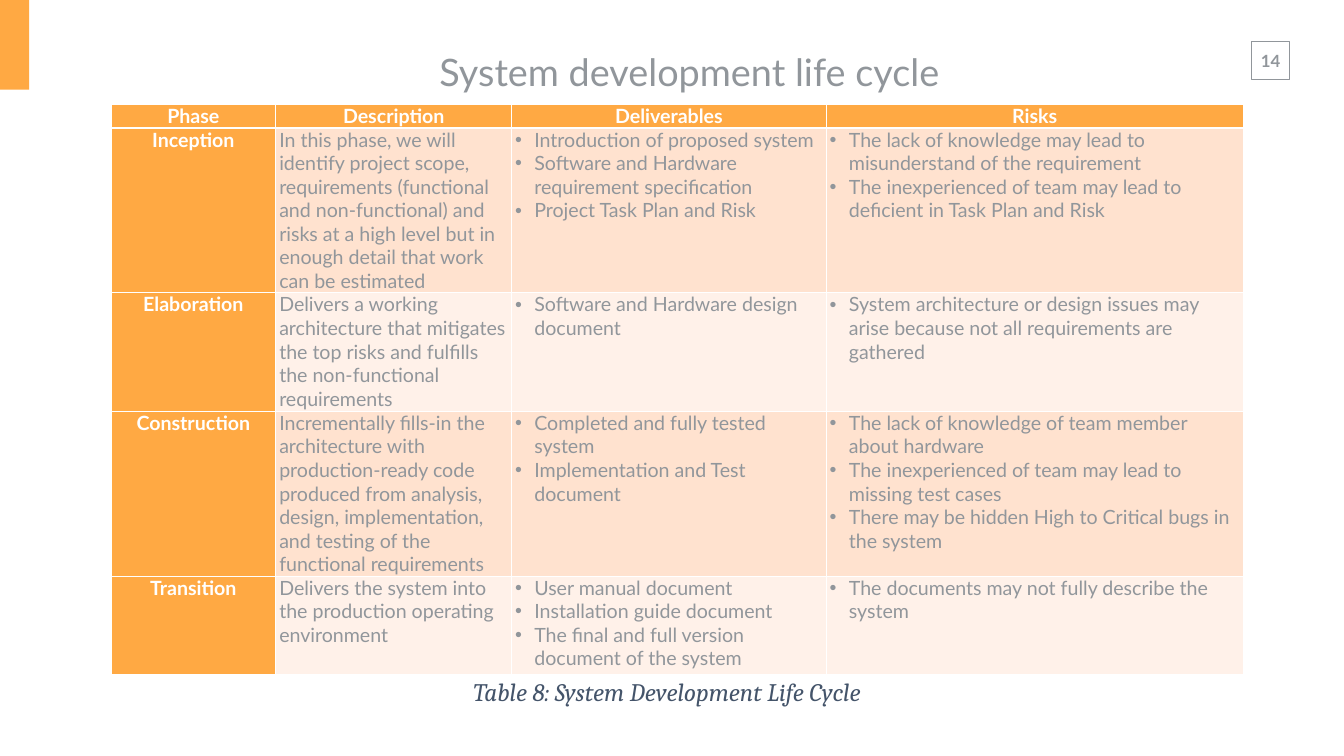
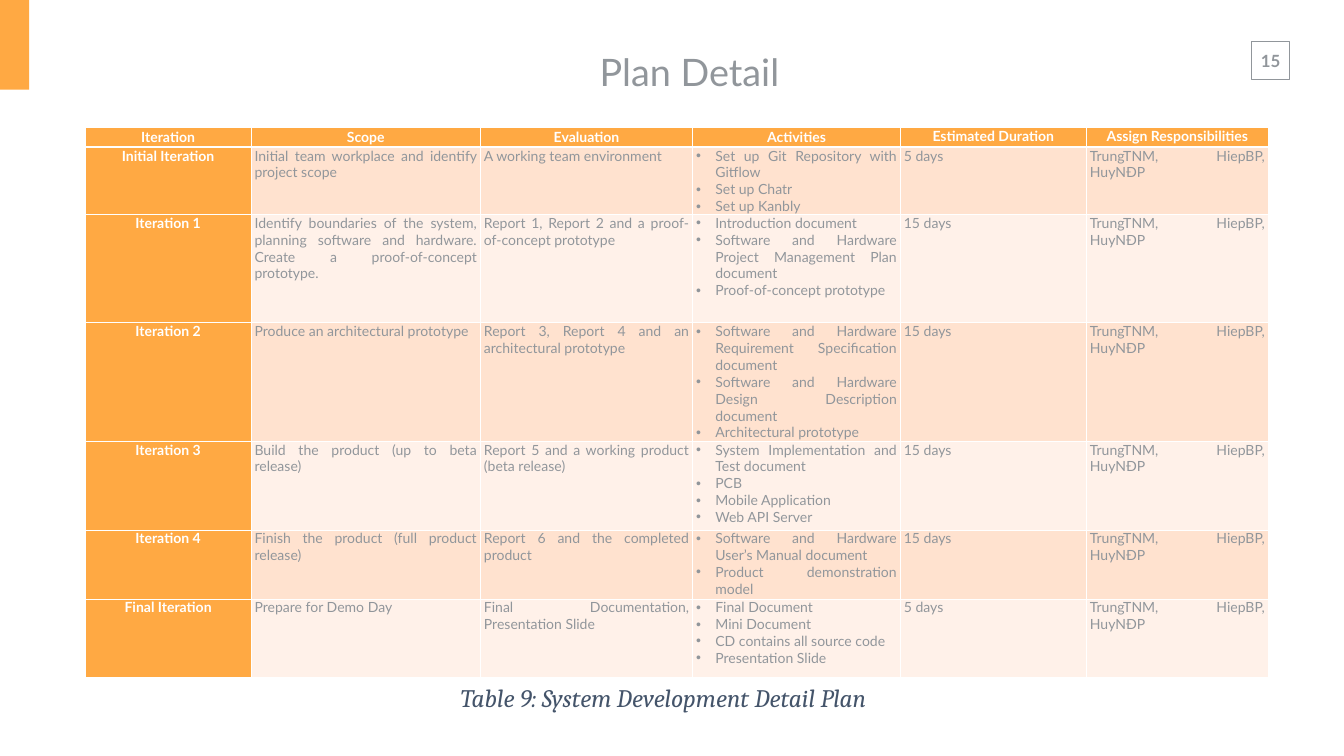
from dataclasses import dataclass

from lxml import etree
from pptx import Presentation
from pptx.dml.color import RGBColor
from pptx.enum.shapes import MSO_SHAPE as SHAPE
from pptx.enum.text import MSO_ANCHOR as ANCHOR, PP_ALIGN as ALIGN
from pptx.oxml.ns import qn
from pptx.util import Inches, Pt


@dataclass(frozen=True)
class Theme:
    accent: str = "FFA943"
    white: str = "FFFFFF"
    grey: str = "91969B"
    navy: str = "44546A"
    bands: tuple = ("FFE2CF", "FFF1E9")
    font: str = "Lato"
    caption_font: str = "Cambria"
    title_size: int = 54
    caption_size: int = 36
    number_size: int = 24


T = Theme()
BULLET_INDENT = Inches(0.38)


def rgb(color):
    return RGBColor.from_string(color)


def add_run(p, text, size, color, font=T.font, bold=False, italic=False):
    r = p.add_run()
    r.text = text
    f = r.font
    f.name, f.size, f.bold, f.italic = font, Pt(size), bold, italic
    f.color.rgb = rgb(color)


def add_box(s, box, margins=(0.1, 0.05), anchor=ANCHOR.TOP, wrap=True):
    """Add an empty text box and return its first paragraph."""
    tf = s.shapes.add_textbox(*map(Inches, box)).text_frame
    tf.word_wrap, tf.vertical_anchor = wrap, anchor
    tf.margin_left = tf.margin_right = Inches(margins[0])
    tf.margin_top = tf.margin_bottom = Inches(margins[1])
    return tf.paragraphs[0]


def add_rect(s, box, fill=None, line=None):
    sp = s.shapes.add_shape(SHAPE.RECTANGLE, *map(Inches, box))
    sp.shadow.inherit = False
    if fill:
        sp.fill.solid()
        sp.fill.fore_color.rgb = rgb(fill)
    else:
        sp.fill.background()
    if line:
        sp.line.color.rgb = rgb(line)
        sp.line.width = Pt(1)
    else:
        sp.line.fill.background()


def add_frame(s, title, number):
    """Add the corner band, the page number and the title."""
    p = add_box(s, (24.8, 0.9, 0.81, 0.61), (0.2, 0.1), wrap=False)
    p.alignment = ALIGN.CENTER
    add_run(p, str(number), T.number_size, T.grey, bold=True)
    add_rect(s, (24.83, 0.82, 0.75, 0.75), line=T.grey)
    add_rect(s, (0, 0, 0.58, 1.78), fill=T.accent)
    p = add_box(s, (8.15, 0.83, 11.05, 1.18), (0.27, 0.13), ANCHOR.MIDDLE)
    p.alignment = ALIGN.CENTER
    add_run(p, title, T.title_size, T.grey)


def add_caption(s, box, text, align):
    p = add_box(s, box)
    p.alignment, p.space_after = align, Pt(10)
    add_run(p, text, T.caption_size, T.navy, T.caption_font, italic=True)


def set_borders(cell, **widths):
    """Draw white borders; widths are points by side (L, R, T, B)."""
    tcPr = cell._tc.get_or_add_tcPr()
    for side, width in widths.items():
        ln = etree.SubElement(tcPr, qn(f"a:ln{side}"), w=str(Pt(width)))
        fill = etree.SubElement(ln, qn("a:solidFill"))
        etree.SubElement(fill, qn("a:srgbClr"), val=T.white)


def set_bullet(p):
    pPr = p._p.get_or_add_pPr()
    pPr.set("marL", str(BULLET_INDENT))
    pPr.set("indent", str(-BULLET_INDENT))
    etree.SubElement(pPr, qn("a:buFont"), typeface="Arial")
    etree.SubElement(pPr, qn("a:buChar"), char="•")


def fill_cell(cell, content, size, align, color, fill, bold):
    """Write a string as one paragraph, or a list as bullets."""
    cell.margin_left = cell.margin_right = Inches(0.07)
    cell.margin_top = cell.margin_bottom = 0
    cell.fill.solid()
    cell.fill.fore_color.rgb = rgb(fill)
    bulleted = isinstance(content, list)
    tf = cell.text_frame
    for i, text in enumerate(content if bulleted else [content]):
        p = tf.add_paragraph() if i else tf.paragraphs[0]
        p.alignment = align
        if bulleted:
            set_bullet(p)
        else:
            p.space_before = Pt(6)
        add_run(p, text, size, color, bold=bold)


def add_phase_table(s, box, widths, heights, rows, size, align, middle_headers):
    """Add a table with an accent header row and first column, and banded rows."""
    frame = s.shapes.add_table(len(rows), len(widths), *map(Inches, box))
    tbl = frame.table
    for col, width in zip(tbl.columns, widths):
        col.width = Inches(width)
    for row, height in zip(tbl.rows, heights):
        row.height = Inches(height)
    for i, row in enumerate(rows):
        for j, content in enumerate(row):
            cell = tbl.cell(i, j)
            set_borders(cell, L=1, R=1, T=3 if i == 1 else 1, B=1 if i else 3)
            if i == 0 or j == 0:
                fill_cell(cell, content, size, ALIGN.CENTER, T.white, T.accent, True)
            else:
                band = T.bands[(i - 1) % 2]
                fill_cell(cell, content, size, align, T.grey, band, False)
            if i == 0 and j < middle_headers:
                cell.vertical_anchor = ANCHOR.MIDDLE


LIFE_CYCLE = [
    ("Phase", "Description", "Deliverables", "Risks"),
    ("Inception",
     "In this phase, we will identify project scope, requirements (functional and "
     "non-functional) and risks at a high level but in enough detail that work can "
     "be estimated",
     ["Introduction of proposed system",
      "Software and Hardware requirement specification",
      "Project Task Plan and Risk"],
     ["The lack of knowledge may lead to misunderstand of the requirement",
      "The inexperienced of team may lead to deficient in Task Plan and Risk"]),
    ("Elaboration",
     "Delivers a working architecture that mitigates the top risks and fulfills the "
     "non-functional requirements",
     ["Software and Hardware design document"],
     ["System architecture or design issues may arise because not all requirements "
      "are gathered"]),
    ("Construction",
     "Incrementally fills-in the architecture with production-ready code produced "
     "from analysis, design, implementation, and testing of the functional "
     "requirements",
     ["Completed and fully tested system", "Implementation and Test document"],
     ["The lack of knowledge of team member about hardware",
      "The inexperienced of team may lead to missing test cases",
      "There may be hidden High to Critical bugs in the system"]),
    ("Transition",
     "Delivers the system into the production operating environment",
     ["User manual document", "Installation guide document",
      "The final and full version document of the system"],
     ["The documents may not fully describe the system"]),
]

PLAN_HEADERS = ("Iteration", "Scope", "Evaluation", "Activities",
                "Estimated Duration", "Assign Responsibilities")
TEAM = "TrungTNM, HiepBP, HuyNĐP"
ITERATIONS = [
    ("Initial Iteration", "Initial team workplace and identify project scope",
     "A working team environment",
     ["Set up Git Repository with Gitflow", "Set up Chatr", "Set up Kanbly"],
     "5 days"),
    ("Iteration 1",
     "Identify boundaries of the system, planning software and hardware. Create a "
     "proof-of-concept prototype.",
     "Report 1, Report 2 and a proof-of-concept prototype",
     ["Introduction document",
      "Software and Hardware Project Management Plan document",
      "Proof-of-concept prototype"],
     "15 days"),
    ("Iteration 2", "Produce an architectural prototype",
     "Report 3, Report 4 and an architectural prototype",
     ["Software and Hardware Requirement Specification document",
      "Software and Hardware Design Description document",
      "Architectural prototype"],
     "15 days"),
    ("Iteration 3", "Build the product (up to beta release)",
     "Report 5 and a working product (beta release)",
     ["System Implementation and Test document", "PCB", "Mobile Application",
      "Web API Server"],
     "15 days"),
    ("Iteration 4", "Finish the product (full product release)",
     "Report 6 and the completed product",
     ["Software and Hardware User’s Manual document",
      "Product demonstration model"],
     "15 days"),
    ("Final Iteration", "Prepare for Demo Day",
     "Final Documentation, Presentation Slide",
     ["Final Document", "Mini Document", "CD contains all source code",
      "Presentation Slide"],
     "5 days"),
]


def add_life_cycle_slide(s):
    add_frame(s, "System development life cycle", 14)
    add_phase_table(s, (2.2, 2.07, 22.46, 11.3), (3.27, 4.68, 6.24, 8.27),
                    (0.43, 3.13, 2.35, 3.13, 1.96), LIFE_CYCLE,
                    size=28, align=ALIGN.LEFT, middle_headers=4)
    add_caption(s, (9.29, 13.37, 8.76, 1.31),
                "Table 8: System Development Life Cycle", ALIGN.LEFT)


def add_plan_slide(s):
    add_frame(s, "Plan Detail", 15)
    rows = [PLAN_HEADERS] + [(*iteration, TEAM) for iteration in ITERATIONS]
    add_phase_table(s, (1.69, 2.53, 23.46, 10.91),
                    (3.29, 4.55, 4.21, 4.12, 3.69, 3.61),
                    (0.39, 0.98, 2.15, 2.35, 1.76, 1.37, 1.56), rows,
                    size=20, align=ALIGN.JUSTIFY, middle_headers=4)
    add_caption(s, (9.04, 13.49, 9.28, 0.71),
                "Table 9: System Development Detail Plan", ALIGN.JUSTIFY)


def main():
    prs = Presentation()
    prs.slide_width, prs.slide_height = Inches(26.66), Inches(15)
    for build in (add_life_cycle_slide, add_plan_slide):
        build(prs.slides.add_slide(prs.slide_layouts[6]))
    prs.save("out.pptx")


if __name__ == "__main__":
    main()
